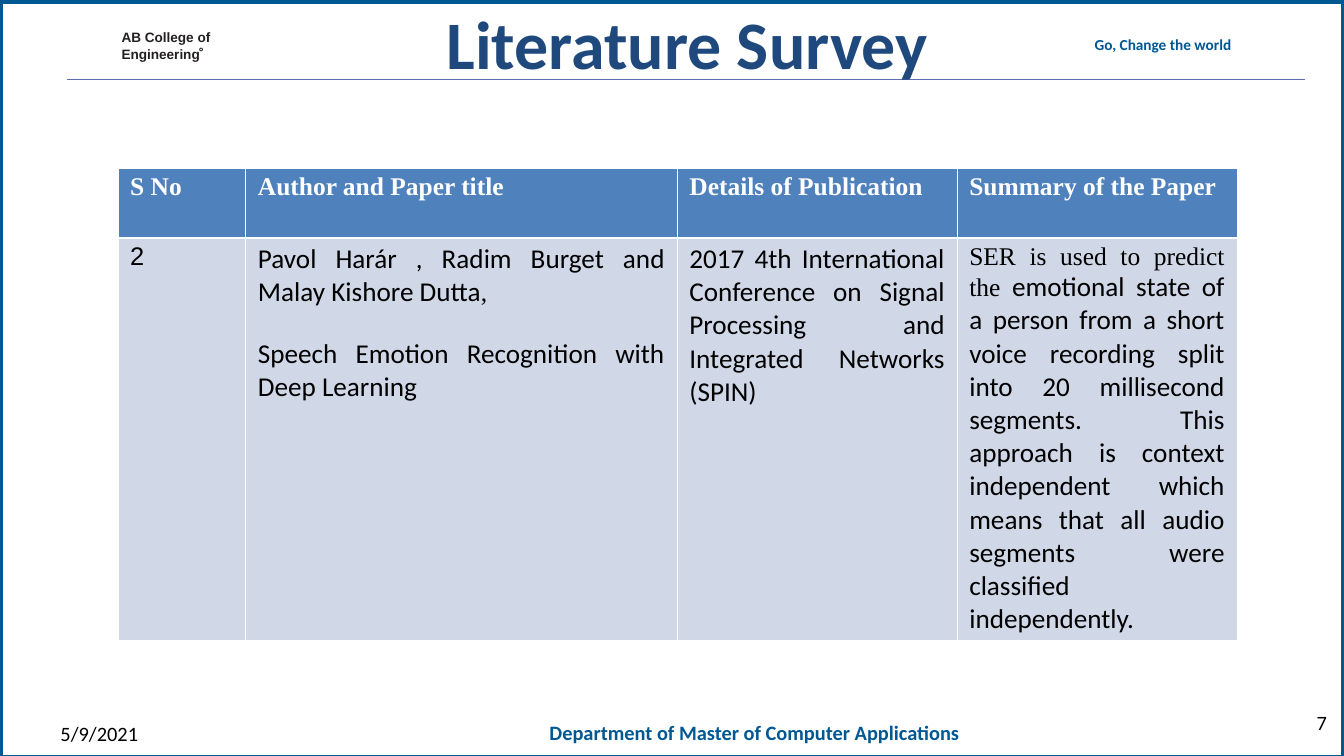
from dataclasses import dataclass

from lxml.etree import SubElement
from pptx import Presentation
from pptx.dml.color import RGBColor
from pptx.enum.shapes import MSO_CONNECTOR, MSO_SHAPE
from pptx.enum.text import MSO_ANCHOR, MSO_AUTO_SIZE, PP_ALIGN
from pptx.oxml.ns import qn
from pptx.util import Inches, Pt

WHITE = RGBColor(0xFF, 0xFF, 0xFF)
BLACK = RGBColor(0, 0, 0)
INK = RGBColor(0x23, 0x1F, 0x20)
BLUE = RGBColor(0x00, 0x58, 0x93)
NAVY = RGBColor(0x1F, 0x49, 0x7D)
RULE = RGBColor(0x5E, 0x6D, 0xB3)
HEADER_FILL = RGBColor(0x4F, 0x81, 0xBD)
BODY_FILL = RGBColor(0xD0, 0xD8, 0xE7)
SERIF = "Times New Roman"
COLUMN_WIDTHS = (2.09, 7.06, 4.58, 4.58)
ROW_HEIGHTS = (1.15, 6.51)


@dataclass
class Span:
    text: str
    font: str = "Calibri"
    size: float = 32
    color: RGBColor = BLACK
    bold: bool = False


@dataclass
class Para:
    spans: list[Span]
    align: PP_ALIGN = PP_ALIGN.LEFT
    before: float = 0
    line: float | None = None


@dataclass
class Label:
    left: float
    top: float
    width: float
    height: float
    paras: list[Para]
    inset: float = 0


def heading(text: str) -> list[Para]:
    return [Para([Span(text, SERIF, 30, WHITE, True)], PP_ALIGN.JUSTIFY)]


def body(*spans: Span, before: float = 0) -> Para:
    return Para(list(spans), PP_ALIGN.JUSTIFY, before)


LABELS = [
    Label(1.99, 0.48, 1.5, 0.54, [
        Para([Span(text, "Arial", 16, INK, True)], before=1.4, line=17.9)
        for text in ("AB College of", "Engineering")
    ], 0.02),
    Label(17.91, 0.56, 3.03, 0.32,
          [Para([Span("Go, Change the world", size=18, color=BLUE, bold=True)], before=1)], 0.01),
    Label(8.99, 11.77, 7.58, 0.42,
          [Para([Span("Department of Master of Computer Applications",
                      size=24, color=BLUE, bold=True)], before=1)], 0.01),
    Label(0.99, 11.8, 5.06, 0.4, [Para([Span("5/9/2021", size=24)])]),
    Label(18.74, 11.62, 2.97, 0.4, [Para([Span("7", size=24)], PP_ALIGN.RIGHT)]),
]

SURVEY = [
    [heading(text) for text in
     ("S No", "Author and Paper title", "Details of Publication", "Summary of the Paper")],
    [
        [body(Span("2", "Arial", 30))],
        [
            body(Span("Pavol Harár , Radim Burget and Malay Kishore Dutta"), Span(",", SERIF, 30)),
            body(Span("Speech Emotion Recognition with Deep Learning"), before=34),
        ],
        [body(Span("2017 4th International Conference on Signal Processing "
                   "and Integrated Networks (SPIN)"))],
        [body(
            Span("SER is used to predict the ", SERIF, 30),
            Span("emotional state of a person from a short voice recording split into "
                 "20 millisecond segments. This approach is context independent which means "
                 "that all audio segments were classified independently."),
        )],
    ],
]


def write(frame, paras: list[Para]) -> None:
    for index, item in enumerate(paras):
        para = frame.add_paragraph() if index else frame.paragraphs[0]
        para.alignment = item.align
        para.space_before = Pt(item.before)
        if item.line:
            para.line_spacing = Pt(item.line)
        for span in item.spans:
            run = para.add_run()
            run.text = span.text
            run.font.name = span.font
            run.font.size = Pt(span.size)
            run.font.bold = span.bold
            run.font.color.rgb = span.color


def set_frame(frame, inset: float = 0) -> None:
    frame.word_wrap = True
    frame.margin_left = frame.margin_right = frame.margin_bottom = 0
    frame.margin_top = Inches(inset)
    frame.vertical_anchor = MSO_ANCHOR.TOP


def draw_label(page, label: Label) -> None:
    box = page.shapes.add_textbox(Inches(label.left), Inches(label.top),
                                  Inches(label.width), Inches(label.height))
    set_frame(box.text_frame, label.inset)
    box.text_frame.auto_size = MSO_AUTO_SIZE.SHAPE_TO_FIT_TEXT
    write(box.text_frame, label.paras)


def draw_backdrop(page) -> None:
    border = page.shapes.add_shape(MSO_SHAPE.RECTANGLE, 0, Inches(0.02),
                                   Inches(21.99), Inches(12.37))
    border.shadow.inherit = False
    border.fill.solid()
    border.fill.fore_color.rgb = WHITE
    border.line.color.rgb = BLUE
    border.line.width = Pt(6)

    rule = page.shapes.add_connector(MSO_CONNECTOR.STRAIGHT, Inches(1.1), Inches(1.3),
                                     Inches(21.36), Inches(1.3))
    rule.line.color.rgb = RULE
    rule.line.width = Pt(1.25)
    SubElement(rule.element.spPr, qn("a:effectLst"))

    mark = page.shapes.add_shape(MSO_SHAPE.DONUT, Inches(3.26), Inches(0.78),
                                 Inches(0.06), Inches(0.06))
    mark.shadow.inherit = False
    mark.fill.solid()
    mark.fill.fore_color.rgb = INK
    mark.line.fill.background()


def draw_borders(cell, top: float, bottom: float) -> None:
    properties = cell._tc.get_or_add_tcPr()
    widths = {"a:lnL": 0.96, "a:lnR": 0.96, "a:lnT": top, "a:lnB": bottom}
    for index, (tag, width) in enumerate(widths.items()):
        line = SubElement(properties, qn(tag), w=str(Pt(width)))
        fill = SubElement(line, qn("a:solidFill"))
        SubElement(fill, qn("a:srgbClr"), val=str(WHITE))
        properties.insert(index, line)


def draw_survey(page) -> None:
    table = page.shapes.add_table(
        len(ROW_HEIGHTS), len(COLUMN_WIDTHS), Inches(1.93), Inches(2.75),
        Inches(sum(COLUMN_WIDTHS)), Inches(sum(ROW_HEIGHTS))).table
    table.horz_banding = False
    for column, width in zip(table.columns, COLUMN_WIDTHS):
        column.width = Inches(width)
    for row, height in zip(table.rows, ROW_HEIGHTS):
        row.height = Inches(height)
    for row_index, entries in enumerate(SURVEY):
        for column_index, paras in enumerate(entries):
            cell = table.cell(row_index, column_index)
            cell.margin_left = cell.margin_right = Inches(0.2)
            cell.margin_top = cell.margin_bottom = Inches(0.07)
            cell.fill.solid()
            cell.fill.fore_color.rgb = BODY_FILL if row_index else HEADER_FILL
            draw_borders(cell, *((3, 0.96) if row_index else (0.96, 3)))
            write(cell.text_frame, paras)


def place_title(page) -> None:
    title = page.shapes.title
    title.left, title.top = Inches(5.66), Inches(0.02)
    title.width, title.height = Inches(11.17), Inches(1.35)
    set_frame(title.text_frame)
    title.text_frame.auto_size = MSO_AUTO_SIZE.NONE
    write(title.text_frame,
          [Para([Span("Literature Survey", size=80, color=NAVY, bold=True)], PP_ALIGN.CENTER)])
    title.element.getparent().append(title.element)


def main() -> None:
    deck = Presentation()
    deck.slide_width, deck.slide_height = Inches(21.99), Inches(12.37)
    page = deck.slides.add_slide(deck.slide_layouts[5])
    draw_backdrop(page)
    draw_survey(page)
    for label in LABELS:
        draw_label(page, label)
    place_title(page)
    deck.save("out.pptx")


if __name__ == "__main__":
    main()
